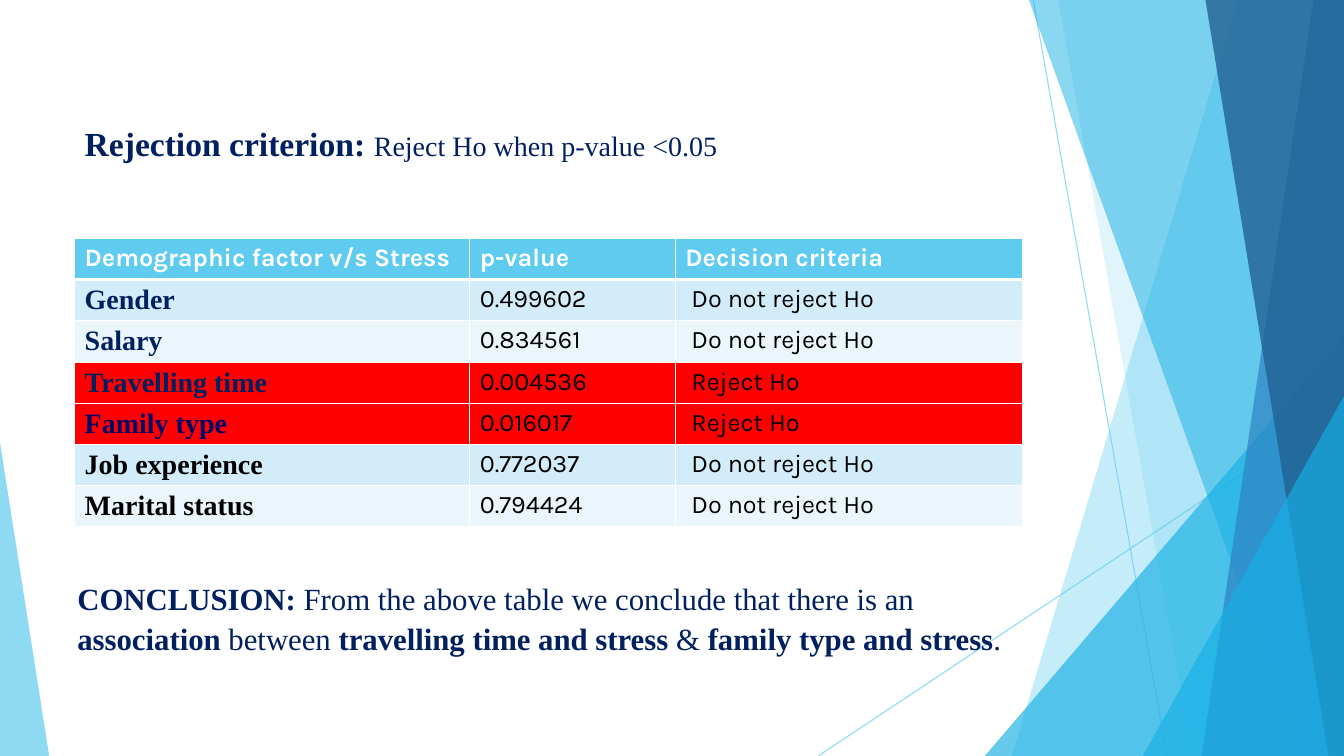
from lxml import etree
from pptx import Presentation, util as u
from pptx.dml.color import RGBColor
from pptx.enum import shapes, text
from pptx.oxml.ns import qn

W, H = 33.87, 19.05
SERIF, SANS = "Times New Roman", "Karla"
NAVY, SKY, AZURE, RED = "002060", "5FCBEF", "17B0E4", "FF0000"
BANDS = ["D2ECF9", "EAF6FC"]


def rgb(value):
    return RGBColor.from_string(value)


def paint(fill, color, alpha=100):
    fill.solid()
    fill.fore_color.rgb = rgb(color)
    if alpha < 100:
        node = next(fill._xPr.iter(qn("a:srgbClr")))
        etree.SubElement(node, qn("a:alpha"), val=str(alpha * 1000))


def add_run(p, words, font=SERIF, size=20, color=NAVY, bold=False):
    r = p.add_run()
    r.text = words
    r.font.name, r.font.size, r.font.bold = font, u.Pt(size), bold
    r.font.color.rgb = rgb(color)


def add_border(cell, side, index, width):
    ln = etree.Element(qn(f"a:ln{side}"), w=str(u.Pt(width)))
    fill = etree.SubElement(ln, qn("a:solidFill"))
    etree.SubElement(fill, qn("a:srgbClr"), val="FFFFFF")
    cell._tc.get_or_add_tcPr().insert(index, ln)


class Deck:
    """Hold the presentation, its current slide and the shared style."""

    def __init__(self):
        self.prs = Presentation()
        self.prs.slide_width, self.prs.slide_height = u.Cm(W), u.Cm(H)
        self.s = self.prs.slides.add_slide(self.prs.slide_layouts[5])

    def finish(self, sp, color, alpha):
        sp.shadow.inherit = False
        sp.line.fill.background()
        paint(sp.fill, color, alpha)

    def panel(self, top_x, bottom_x, color, alpha):
        points = [(u.Cm(x), u.Cm(y)) for x, y in [(top_x, 0), (W, 0), (W, H), (bottom_x, H)]]
        builder = self.s.shapes.build_freeform(*points[0])
        builder.add_line_segments(points[1:])
        self.finish(builder.convert_to_shape(), color, alpha)

    def triangle(self, x, y, width, apex, color, alpha):
        box = map(u.Cm, (x, y, width, H - y))
        sp = self.s.shapes.add_shape(shapes.MSO_SHAPE.ISOSCELES_TRIANGLE, *box)
        sp.adjustments[0] = apex
        self.finish(sp, color, alpha)

    def line(self, *ends):
        sp = self.s.shapes.add_connector(shapes.MSO_CONNECTOR.STRAIGHT, *map(u.Cm, ends))
        sp.line.width = u.Pt(0.75)
        paint(sp.line.fill, SKY, 70)
        etree.SubElement(sp._element.spPr, qn("a:effectLst"))

    def set_text(self, sp, runs, size, spacing=1.0):
        tf = sp.text_frame
        tf.word_wrap, tf.auto_size = True, text.MSO_AUTO_SIZE.NONE
        tf.vertical_anchor = text.MSO_ANCHOR.TOP
        p = tf.paragraphs[0]
        p.alignment, p.line_spacing = text.PP_ALIGN.LEFT, spacing
        for words, style in runs:
            add_run(p, words, **{"size": size, **style})

    def title(self, x, y, width, height, runs):
        sp = self.s.shapes.title
        sp.left, sp.top, sp.width, sp.height = map(u.Cm, (x, y, width, height))
        self.set_text(sp, runs, 24)

    def textbox(self, x, y, width, height, runs):
        sp = self.s.shapes.add_textbox(*map(u.Cm, (x, y, width, height)))
        self.set_text(sp, runs, 22, 1.08)

    def table(self, x, y, widths, row_height, header, rows):
        box = map(u.Cm, (x, y, sum(widths), row_height * (len(rows) + 1)))
        table = self.s.shapes.add_table(len(rows) + 1, len(header), *box).table
        table.horz_banding = False
        for column, width in zip(table.columns, widths):
            column.width = u.Cm(width)
        for row in table.rows:
            row.height = u.Cm(row_height)
        head_style = dict(font=SANS, size=18, color="FFFFFF", bold=True)
        for c, words in enumerate(header):
            self.cell(table.cell(0, c), words, SKY, 1, 3, head_style)
        for i, (factor, color, p_value) in enumerate(rows):
            rejected = float(p_value) < 0.05
            fill = RED if rejected else BANDS[i % 2]
            decision = " Reject Ho" if rejected else " Do not reject Ho"
            plain = dict(font=SANS, size=18, color="000000")
            styles = [dict(color=color, bold=True), plain, plain]
            for c, words in enumerate([factor, p_value, decision]):
                self.cell(table.cell(i + 1, c), words, fill, 1 if i else 3, 1, styles[c])

    def cell(self, cell, words, fill, top, bottom, style):
        paint(cell.fill, fill)
        for index, (side, width) in enumerate(zip("LRTB", (1, 1, top, bottom))):
            add_border(cell, side, index, width)
        add_run(cell.text_frame.paragraphs[0], words, **style)


def main():
    deck = Deck()
    bold = dict(bold=True)

    deck.line(26.04, 0, 29.41, H)
    deck.line(W, 10.24, 20.62, H)
    deck.panel(31.19, 25.5, SKY, 36)
    deck.panel(26.67, 30.05, SKY, 20)
    deck.triangle(24.82, 8.46, 9.05, 1, AZURE, 66)
    deck.panel(25.93, 32.79, AZURE, 50)
    deck.panel(33.1, 30.28, "2E83C3", 70)
    deck.panel(30.38, 33.48, "226292", 80)
    deck.triangle(28.8, 9.98, 5.07, 1, AZURE, 66)
    deck.triangle(0, 11.15, 1.24, 0, SKY, 70)

    deck.title(1.88, 2.97, 23.88, 1.88, [
        ("Rejection criterion: ", bold),
        ("Reject Ho when p-value <0.05", dict(size=20)),
    ])
    deck.table(
        1.88, 6, [9.96, 5.18, 8.74], 1.04,
        ["Demographic factor v/s Stress", "p-value", "Decision criteria"],
        [
            ("Gender", NAVY, "0.499602"),
            ("Salary", NAVY, "0.834561"),
            ("Travelling time", NAVY, "0.004536"),
            ("Family type", "000066", "0.016017"),
            ("Job experience", "000000", "0.772037"),
            ("Marital status", "000000", "0.794424"),
        ],
    )
    deck.textbox(1.7, 14.4, 24.54, 2.18, [
        ("CONCLUSION: ", bold),
        ("From the above table we conclude that there is an ", {}),
        ("association ", bold),
        ("between ", {}),
        ("travelling time and stress ", bold),
        ("&", {}),
        (" family type and stress", bold),
        (".", {}),
    ])
    deck.prs.save("out.pptx")


if __name__ == "__main__":
    main()
